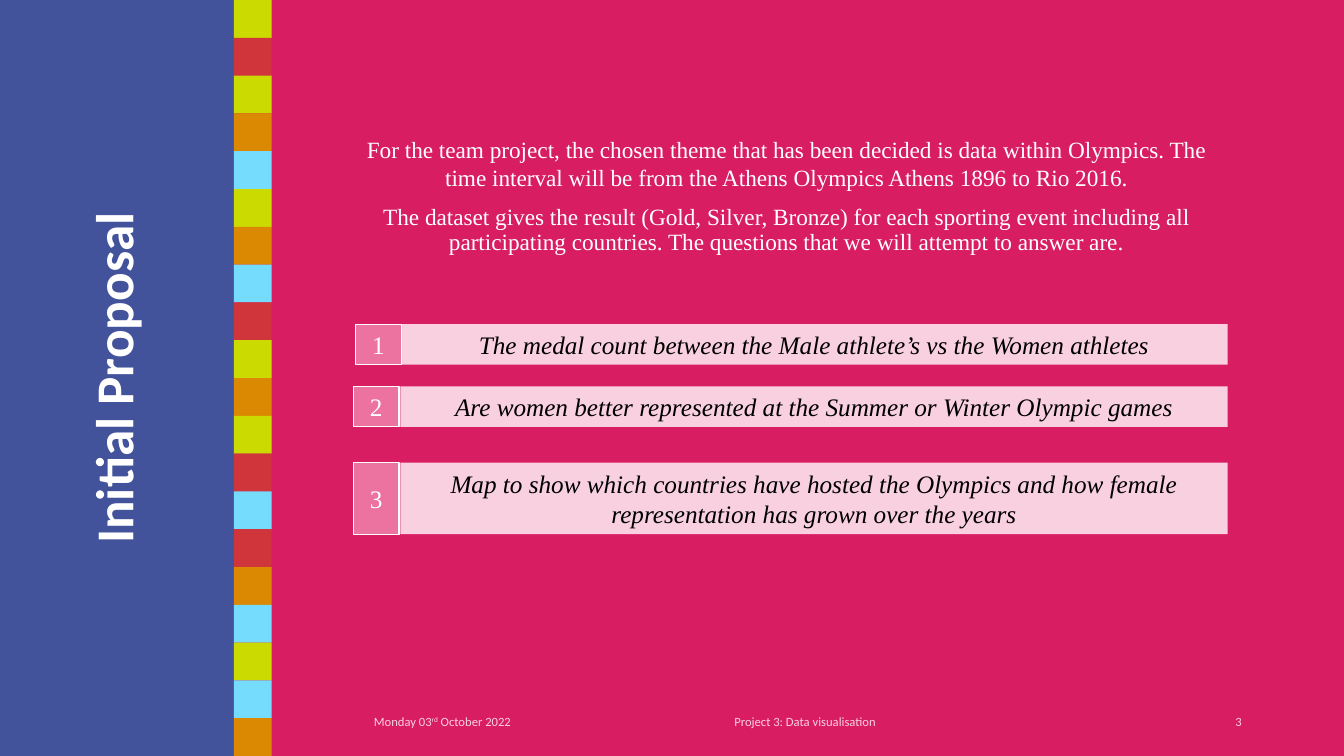
from pptx import Presentation
from pptx.dml.color import RGBColor
from pptx.enum.shapes import MSO_SHAPE as Shape
from pptx.enum.text import MSO_ANCHOR as Anchor, PP_ALIGN as Align
from pptx.util import Pt

# Content
TITLE = "Initial Proposal"
INTRO = [
    ("For the team project, the chosen theme that has been decided is data within Olympics. "
     "The time interval will be from the Athens Olympics Athens 1896 to Rio 2016.", 1.0),
    ("The dataset gives the result (Gold, Silver, Bronze) for each sporting event including all "
     "participating countries. The questions that we will attempt to answer are.", 0.9),
]
# Question, top, height, left of its number
QUESTIONS = [
    ("The medal count between the Male athlete’s vs the Women athletes", 231.5, 29, 254),
    ("Are women better represented at the Summer or Winter Olympic games", 276, 29, 252.5),
    ("Map to show which countries have hosted the Olympics and how female "
     "representation has grown over the years", 330.5, 51, 252.5),
]
# Footer runs as (text, baseline shift), then left, width, alignment
FOOTER = [
    ([("Monday 03", 0), ("rd", 30000), (" October 2022", 0)], 260, 213, Align.LEFT),
    ([("Project 3: Data visualisation", 0)], 486.5, 177, Align.CENTER),
    ([("3", 0)], 678, 216, Align.RIGHT),
]
COLORS = {
    "background": "D91D62", "panel": "42529B", "white": "FFFFFF", "black": "000000",
    "pale": "F9D0DF", "number": "EC73A0",
    "lime": "CBDA00", "red": "D1353C", "orange": "DB8802", "sky": "76DCFD",
}
STRIPE = ("lime red lime orange sky lime orange sky red lime "
          "orange lime red sky red orange sky lime sky orange").split()

SLIDE_W, SLIDE_H = 960, 540
TILE = SLIDE_H / len(STRIPE)
SERIF, SANS = "Times New Roman", "Calibri"


def color(name):
    return RGBColor.from_string(COLORS[name])


def add_rect(left, top, width, height, fill, line=None):
    rect = slide.shapes.add_shape(Shape.RECTANGLE, Pt(left), Pt(top), Pt(width), Pt(height))
    rect.shadow.inherit = False
    rect.fill.solid()
    rect.fill.fore_color.rgb = color(fill)
    if line:
        rect.line.color.rgb = color(line)
        rect.line.width = Pt(0.75)
    else:
        rect.line.fill.background()
    return rect


def add_box(left, top, width, height, anchor=Anchor.MIDDLE):
    box = slide.shapes.add_textbox(Pt(left), Pt(top), Pt(width), Pt(height))
    box.text_frame.word_wrap = True
    box.text_frame.vertical_anchor = anchor
    return box


def add_span(para, text, size, font, fill, align=Align.CENTER, bold=False, italic=False):
    para.alignment = align
    span = para.add_run()
    span.text = text
    span.font.size, span.font.name = Pt(size), font
    span.font.bold, span.font.italic = bold, italic
    span.font.color.rgb = color(fill)
    return span


deck = Presentation()
deck.slide_width, deck.slide_height = Pt(SLIDE_W), Pt(SLIDE_H)
slide = deck.slides.add_slide(deck.slide_layouts[6])
slide.background.fill.solid()
slide.background.fill.fore_color.rgb = color("background")

# Side panel and stripe of tiles
add_rect(0, 0, 168, SLIDE_H, "panel")
for index, name in enumerate(STRIPE):
    add_rect(167, index * TILE, TILE, TILE, name)

# Title, turned to read upwards
title = add_box(-187, 218, SLIDE_H, 104)
title.rotation = 270
para = title.text_frame.paragraphs[0]
para.line_spacing = 0.9
add_span(para, TITLE, 38, SANS, "white", bold=True)

# Introduction
frame = add_box(252.5, 93, 625, 107, Anchor.TOP).text_frame
frame.margin_left = 0
for index, (text, spacing) in enumerate(INTRO):
    para = frame.add_paragraph() if index else frame.paragraphs[0]
    para.line_spacing = spacing
    if index:
        para.space_before = Pt(10)
    add_span(para, text, 16.6, SERIF, "white")

# Numbered questions
for number, (text, top, height, number_left) in enumerate(QUESTIONS, 1):
    bar = add_rect(286, top, 591, height, "pale")
    badge = add_rect(number_left, top, 32.5, height, "number", "white")
    for shape, words, ink, italic in ((bar, text, "black", True),
                                      (badge, str(number), "white", False)):
        shape.text_frame.word_wrap = True
        shape.text_frame.vertical_anchor = Anchor.MIDDLE
        add_span(shape.text_frame.paragraphs[0], words, 18, SERIF, ink, italic=italic)

# Footer
for spans, left, width, align in FOOTER:
    para = add_box(left, 500.5, width, 29).text_frame.paragraphs[0]
    for text, baseline in spans:
        span = add_span(para, text, 9, SANS, "pale", align)
        if baseline:
            span.font._element.set("baseline", str(baseline))

deck.save("out.pptx")
